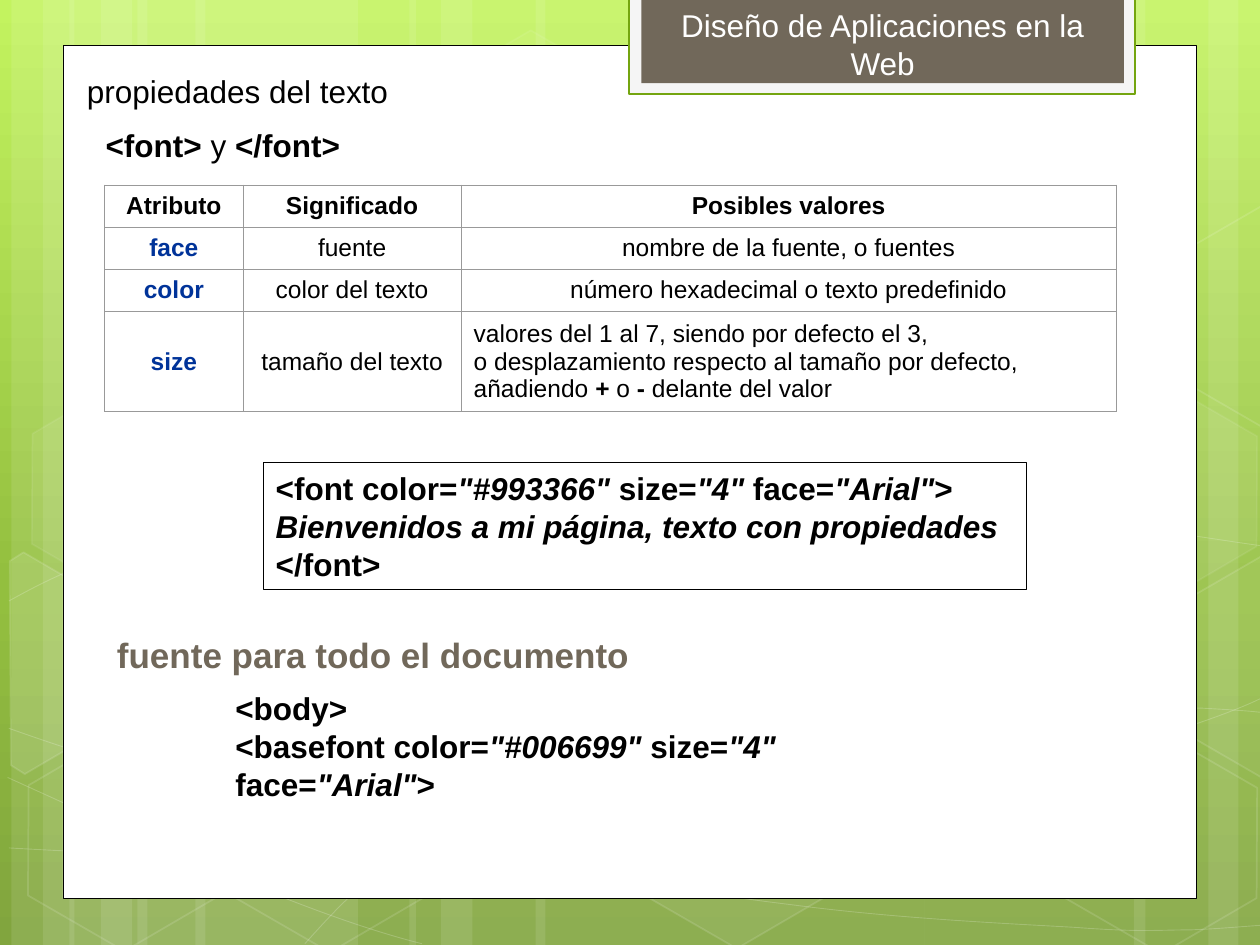
"""Build the slide on text properties and the font tag."""
import copy
import math

from lxml import etree
from pptx import Presentation
from pptx import util as u
from pptx.dml.color import RGBColor
from pptx.enum import shapes, text
from pptx.oxml.ns import qn

FONT, BLACK, WHITE, TAUPE, BLUE, GREY = "Arial", "000000", "FFFFFF", "71685A", "003399", "999999"
WIDTH, HEIGHT = 10, 7.5

TITLE = ["propiedades del texto"]
COURSE = ["Diseño de Aplicaciones en la Web"]
TAGS = ["", "<font>", " y ", "</font>"]
ATTRIBUTES = [
    (["Atributo"], ["Significado"], ["Posibles valores"]),
    (["face"], ["fuente"], ["nombre de la fuente, o fuentes"]),
    (["color"], ["color del texto"], ["número hexadecimal o texto predefinido"]),
    (["size"], ["tamaño del texto"],
     ["valores del 1 al 7, siendo por defecto el 3,\n"
      "o desplazamiento respecto al tamaño por defecto,\nañadiendo ",
      "+", " o ", "-", " delante del valor"]),
]
COLUMNS, ROWS = (1.1, 1.73, 5.2), (1 / 3, 1 / 3, 1 / 3, 0.8)
EXAMPLE = [
    ["<font color=", '"#993366"', " size=", '"4"', " face=", '"Arial"', ">"],
    ["", "Bienvenidos a mi página, texto con propiedades"],
    ["</font>"],
]
HEADING = ["fuente para todo el documento"]
BASEFONT = ["<body>\n<basefont color=", '"#006699"', " size=", '"4"', " face=", '"Arial"', ">"]

GRADIENT = [(0, "C3F35F"), (0.62, "93BF3F"), (1, "81A53E")]
STRIPES = [(1.09, 1.75), (0.09, 0.5), (0.34, 0.83), (1.55, 1.75), (0.55, 0.5), (0.8, 0.83),
           (7.34, 1.75), (9.59, 0.5), (9, 0.83), (4.25, 3.09), (3.25, 0.5), (3.5, 0.83)]
WAVES = [
    [(0.07, 6.73), (0.61, 6.76), (1.15, 6.79), (1.9, 6.78), (2.65, 6.77), (3.58, 6.75),
     (4.58, 6.65), (5.58, 6.55), (7, 6.36), (7.92, 6.17), (8.83, 5.98), (9.77, 5.68), (10.07, 5.51)],
    [(0.07, 4.77), (0.36, 4.61), (0.65, 4.46), (1.21, 4.31), (1.78, 4.16), (2.59, 3.94),
     (3.47, 3.87), (4.36, 3.8), (5.44, 3.79), (6.54, 3.87), (7.64, 3.95), (9.47, 4.26), (10.07, 4.34)],
    [(0.06, 6.17), (1.27, 6.72), (2.47, 7.27), (3.35, 7.49)],
    [(0.07, 5.78), (0.38, 5.89), (0.7, 6), (1.28, 6.16), (1.86, 6.31), (2.73, 6.56),
     (3.57, 6.73), (4.4, 6.9), (5.45, 7.08), (6.28, 7.18), (7.11, 7.29), (8, 7.33),
     (8.53, 7.36), (9.06, 7.4), (9.19, 7.38), (9.45, 7.38), (9.71, 7.37), (9.89, 7.35), (10.07, 7.34)],
    [(2.42, 7.49), (2.6, 7.29), (2.78, 7.09), (3.02, 6.91), (3.26, 6.72), (3.6, 6.53),
     (3.88, 6.39), (4.16, 6.25), (4.33, 6.19), (4.69, 6.09), (5.06, 5.99), (5.73, 5.85),
     (6.08, 5.78), (6.44, 5.71), (6.49, 5.71), (6.8, 5.69), (7.11, 5.66), (7.6, 5.63),
     (7.94, 5.62), (8.29, 5.61), (8.86, 5.62), (8.86, 5.62), (9.08, 5.62), (9.3, 5.62),
     (9.53, 5.62), (9.71, 5.63), (9.88, 5.64), (9.97, 5.65), (10.06, 5.66), (10.03, 5.65),
     (10.06, 5.66)],
]
HEXAGONS = [(3.34, 0.36, 4, 8), (4.97, 5.89, 6, 12), (0.11, 5.91, 0, 12), (0.14, 3.12, 7, 8),
            (1.74, 5.92, 0, 12), (7.53, 4.53, 10, 12), (8.34, 5.93, 0, 12), (8.34, 3.14, 7, 8)]
TILT = 30
CUT_HEXAGONS = [
    ((0.36, 5.36), 10, [(0.08, 4.45), (0.19, 4.38), (0.96, 4.83), (0.95, 5.7), (0.2, 6.14), (0.09, 6.07)]),
    ((9.85, 5.2), 4, [(9.26, 4.85), (10.02, 4.41), (10.09, 4.46), (10.09, 6.13), (10.02, 6.17), (9.26, 5.73)]),
    ((9.85, 2.41), 0, [(9.26, 2.07), (10.02, 1.63), (10.1, 1.68), (10.09, 3.35), (10.02, 3.39), (9.26, 2.95)]),
]


def rgb(value):
    """Turn a hex string into a colour."""
    return RGBColor.from_string(value)


def paint(shape, fill=None, line=None, width=1, fill_alpha=100, line_alpha=100):
    """Set fill and line, with opacity in percent."""
    shape.shadow.inherit = False
    if fill and fill_alpha:
        shape.fill.solid()
        shape.fill.fore_color.rgb = rgb(fill)
    else:
        shape.fill.background()
    if line:
        shape.line.color.rgb = rgb(line)
        shape.line.width = u.Pt(width)
    else:
        shape.line.fill.background()
    properties = shape._element.spPr
    for tag, alpha in (("a:solidFill", fill_alpha), ("a:ln", line_alpha)):
        if 0 < alpha < 100:
            colour = next(properties.find(qn(tag)).iter(qn("a:srgbClr")))
            etree.SubElement(colour, qn("a:alpha"), val=str(alpha * 1000))
    return shape


def add(slide, kind, *box):
    """Add a preset shape with its box in inches."""
    return slide.shapes.add_shape(kind, *map(u.Inches, box))


def outline(slide, points, close):
    """Add a freeform through points in inches."""
    start, *rest = [(u.Inches(x), u.Inches(y)) for x, y in points]
    builder = slide.shapes.build_freeform(*start)
    builder.add_line_segments(rest, close=close)
    return builder.convert_to_shape()


def curve(slide, points):
    """Add a chain of cubic curves by joining each three segments into one."""
    wave = outline(slide, points, False)
    segments = list(wave._element.iter(qn("a:lnTo")))
    for i in range(0, len(segments), 3):
        cubic = etree.Element(qn("a:cubicBezTo"))
        segments[i].addprevious(cubic)
        for segment in segments[i:i + 3]:
            cubic.append(segment[0])
            segment.getparent().remove(segment)
    return wave


def unturn(point, centre):
    """Turn a point back by the tilt about a centre."""
    dx, dy = point[0] - centre[0], point[1] - centre[1]
    cos, sin = math.cos(math.radians(TILT)), math.sin(math.radians(TILT))
    return centre[0] + dx * cos + dy * sin, centre[1] - dx * sin + dy * cos


def write(frame, paragraphs, size=18, colour=BLACK, bold=False, emphasis="italic",
          align=text.PP_ALIGN.LEFT, anchor=text.MSO_ANCHOR.TOP):
    """Fill a text frame, emphasising every second run."""
    frame.vertical_anchor = anchor
    for i, runs in enumerate(paragraphs):
        paragraph = frame.add_paragraph() if i else frame.paragraphs[0]
        paragraph.alignment = align
        font = paragraph.font
        font.name, font.size, font.bold, font.color.rgb = FONT, u.Pt(size), bold, rgb(colour)
        for j, words in enumerate(runs):
            for k, part in enumerate(words.split("\n")):
                if k:
                    paragraph.add_line_break()
                if part:
                    run = paragraph.add_run()
                    run.text = part
                    if j % 2:
                        setattr(run.font, emphasis, True)


def label(slide, box, runs, wrap=False, **style):
    """Add a text box holding one paragraph."""
    frame = slide.shapes.add_textbox(*map(u.Inches, box)).text_frame
    frame.word_wrap = wrap
    write(frame, [runs], **style)


def decorate(slide):
    """Draw the green backdrop, the panel and the course tab."""
    fill = slide.background.fill
    fill.gradient()
    fill.gradient_angle = 270
    first = fill.gradient_stops[0]._gs
    first.addnext(copy.deepcopy(first))
    for stop, (position, colour) in zip(fill.gradient_stops, GRADIENT):
        stop.position, stop.color.rgb = position, rgb(colour)
    rectangle = shapes.MSO_SHAPE.RECTANGLE
    for left, width in STRIPES:
        paint(add(slide, rectangle, left, 0, width, HEIGHT), WHITE, fill_alpha=10)
    for wave in WAVES:
        paint(curve(slide, wave), line=WHITE, width=0.5, line_alpha=20)
    for left, top, opacity, edge in HEXAGONS:
        hexagon = add(slide, shapes.MSO_SHAPE.HEXAGON, left, top, 1.75, 1.52)
        hexagon.adjustments[0], hexagon.rotation = 0.285, TILT
        paint(hexagon, WHITE, WHITE, 1, opacity, edge)
    for centre, opacity, points in CUT_HEXAGONS:
        hexagon = outline(slide, [unturn(point, centre) for point in points], True)
        hexagon.rotation = TILT
        paint(hexagon, WHITE, WHITE, 1, opacity, 12)
    paint(add(slide, rectangle, 0.5, 0.36, 9, 6.77), WHITE, BLACK, 0.5)
    paint(add(slide, rectangle, 4.99, -0.02, 4.02, 0.77), "F5F5F5", "74A510", 1.25)
    paint(add(slide, rectangle, 5.09, -0.02, 3.83, 0.68), TAUPE)


def add_attributes(slide):
    """Add the table of font attributes."""
    box = map(u.Inches, (0.83, 1.47, sum(COLUMNS), sum(ROWS)))
    table = slide.shapes.add_table(len(ROWS), len(COLUMNS), *box).table
    table.first_row = table.horz_banding = False
    for column, width in zip(table.columns, COLUMNS):
        column.width = u.Inches(width)
    for r, (row, height) in enumerate(zip(ATTRIBUTES, ROWS)):
        table.rows[r].height = u.Inches(height)
        for c, runs in enumerate(row):
            cell = table.cell(r, c)
            properties = cell._tc.get_or_add_tcPr()
            for side in "LRTB":
                border = etree.SubElement(properties, qn(f"a:ln{side}"), w=str(u.Pt(0.75)))
                solid = etree.SubElement(border, qn("a:solidFill"))
                etree.SubElement(solid, qn("a:srgbClr"), val=GREY)
            cell.fill.background()
            cell.vertical_anchor = text.MSO_ANCHOR.MIDDLE
            align = text.PP_ALIGN.LEFT if len(runs) > 1 else text.PP_ALIGN.CENTER
            write(cell.text_frame, [runs], 14, BLUE if r and not c else BLACK,
                  not (r and c), "bold", align, None)


def main():
    """Build and save the slide."""
    deck = Presentation()
    deck.slide_width, deck.slide_height = u.Inches(WIDTH), u.Inches(HEIGHT)
    slide = deck.slides.add_slide(deck.slide_layouts[5])
    decorate(slide)
    middle = text.MSO_ANCHOR.MIDDLE
    label(slide, (5.17, 0, 3.67, 0.71), COURSE, True, colour=WHITE, align=text.PP_ALIGN.CENTER)
    label(slide, (0.74, 0.95, 2.06, 0.4), TAGS, emphasis="bold", anchor=middle)
    title = slide.shapes.title
    title.left, title.top, title.width, title.height = map(u.Inches, (0.59, 0.52, 2.66, 0.4))
    title.text_frame.word_wrap = False
    write(title.text_frame, [TITLE])
    slide.shapes._spTree.append(title._element)
    add_attributes(slide)
    example = paint(add(slide, shapes.MSO_SHAPE.RECTANGLE, 2.09, 3.67, 6.06, 1.01), line=BLACK, width=0.75)
    write(example.text_frame, EXAMPLE, bold=True, anchor=middle)
    label(slide, (1.77, 5.42, 6.1, 1), BASEFONT, True, bold=True, anchor=middle)
    label(slide, (0.83, 4.98, 4.34, 0.43), HEADING, size=20, colour=TAUPE, bold=True)
    deck.save("out.pptx")


if __name__ == "__main__":
    main()
